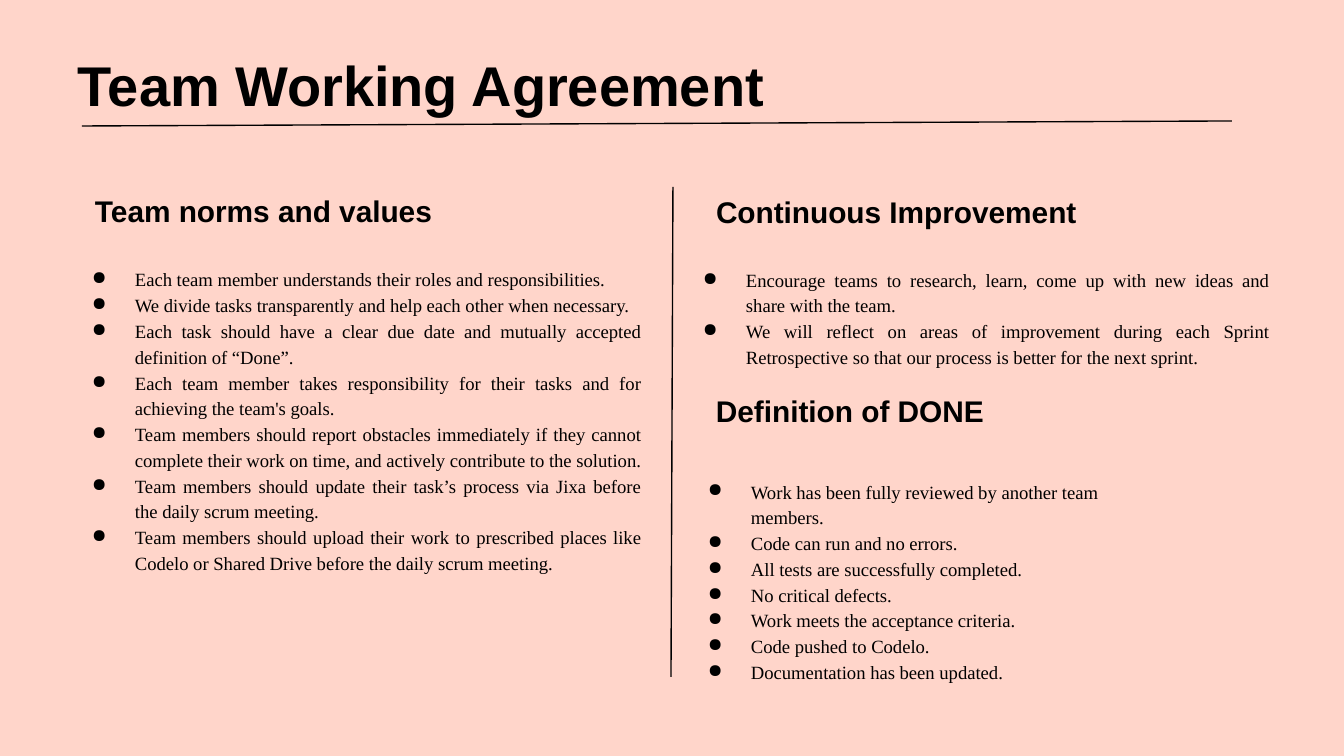
from lxml.etree import SubElement
from pptx import Presentation
from pptx.dml.color import RGBColor as RGB
from pptx.enum.shapes import MSO_CONNECTOR as Link
from pptx.enum.text import MSO_ANCHOR as Anchor, PP_ALIGN as Align
from pptx.oxml.ns import qn
from pptx.util import Pt

PINK = RGB(0xFF, 0xD5, 0xCA)
BLACK = RGB(0, 0, 0)
PX = 914400 / 134.4
INSET, INDENT, HANG = 13, 67, 43

BIG = dict(name="Arial", size=Pt(30), bold=True)
HEAD = dict(name="Arial", size=Pt(16), bold=True)
BODY = dict(name="Times New Roman", size=Pt(10), bold=False)

TITLE = ("Team Working Agreement", (65, 38, 1150, 85))
HEADS = [
    ("Team norms and values", (82, 164, 523, 78), Anchor.BOTTOM, 1.15),
    ("Continuous Improvement", (703, 165, 564, 78), Anchor.BOTTOM, 1.38),
    ("Definition of DONE", (703, 366, 441, 63), Anchor.TOP, 1.38),
]
LISTS = [
    ((55, 252, 599, 414), Align.JUSTIFY, [
        "Each team member understands their roles and responsibilities.",
        "We divide tasks transparently and help each other when necessary.",
        "Each task should have a clear due date and mutually accepted definition of “Done”.",
        "Each team member takes responsibility for their tasks and for achieving the team's goals.",
        "Team members should report obstacles immediately if they cannot complete their work "
        "on time, and actively contribute to the solution.",
        "Team members should update their task’s process via Jixa before the daily scrum meeting.",
        "Team members should upload their work to prescribed places like Codelo or Shared Drive "
        "before the daily scrum meeting.",
    ]),
    ((666, 252, 616, 168), Align.JUSTIFY, [
        "Encourage teams to research, learn, come up with new ideas and share with the team.",
        "We will reflect on areas of improvement during each Sprint Retrospective so that our "
        "process is better for the next sprint.",
    ]),
    ((671, 464, 441, 233), Align.LEFT, [
        "Work has been fully reviewed by another team members.",
        "Code can run and no errors.",
        "All tests are successfully completed.",
        "No critical defects.",
        "Work meets the acceptance criteria.",
        "Code pushed to Codelo.",
        "Documentation has been updated.",
    ]),
]
RULES = [(82, 126, 1232, 121), (673, 187, 671, 677)]


def emu(px):
    """Turn px into EMU."""
    return round(px * PX)


def bullet(para):
    """Give a paragraph a hanging black dot."""
    props = para._p.get_or_add_pPr()
    props.set("marL", str(emu(INDENT)))
    props.set("indent", str(-emu(HANG)))
    color = SubElement(props, qn("a:buClr"))
    SubElement(color, qn("a:srgbClr")).set("val", str(BLACK))
    SubElement(props, qn("a:buChar")).set("char", "●")


def write(slide, box, lines, font, align=Align.LEFT, space=1.0, anchor=Anchor.TOP, dots=False):
    """Add a text box with one paragraph per line."""
    frame = slide.shapes.add_textbox(*map(emu, box)).text_frame
    frame.word_wrap = True
    frame.vertical_anchor = anchor
    for side in ("left", "top", "right", "bottom"):
        setattr(frame, f"margin_{side}", emu(INSET))
    for i, line in enumerate(lines):
        para = frame.add_paragraph() if i else frame.paragraphs[0]
        para.alignment, para.line_spacing = align, space
        if dots:
            bullet(para)
        run = para.add_run()
        run.text = line
        for key, value in font.items():
            setattr(run.font, key, value)
        run.font.color.rgb = BLACK


def rule(slide, ends):
    """Add a thin black line."""
    line = slide.shapes.add_connector(Link.STRAIGHT, *map(emu, ends))
    line.line.color.rgb = BLACK
    line.line.width = Pt(0.75)
    SubElement(line._element.spPr, qn("a:effectLst"))


def main():
    """Build the team agreement slide."""
    deck = Presentation()
    deck.slide_width, deck.slide_height = emu(1344), emu(756)
    slide = deck.slides.add_slide(deck.slide_layouts[6])
    fill = slide.background.fill
    fill.solid()
    fill.fore_color.rgb = PINK
    text, box = TITLE
    write(slide, box, [text], BIG)
    for text, box, anchor, space in HEADS:
        write(slide, box, [text], HEAD, Align.JUSTIFY, space, anchor)
    for box, align, items in LISTS:
        write(slide, box, items, BODY, align, 1.15, dots=True)
    for ends in RULES:
        rule(slide, ends)
    deck.save("out.pptx")


if __name__ == "__main__":
    main()
